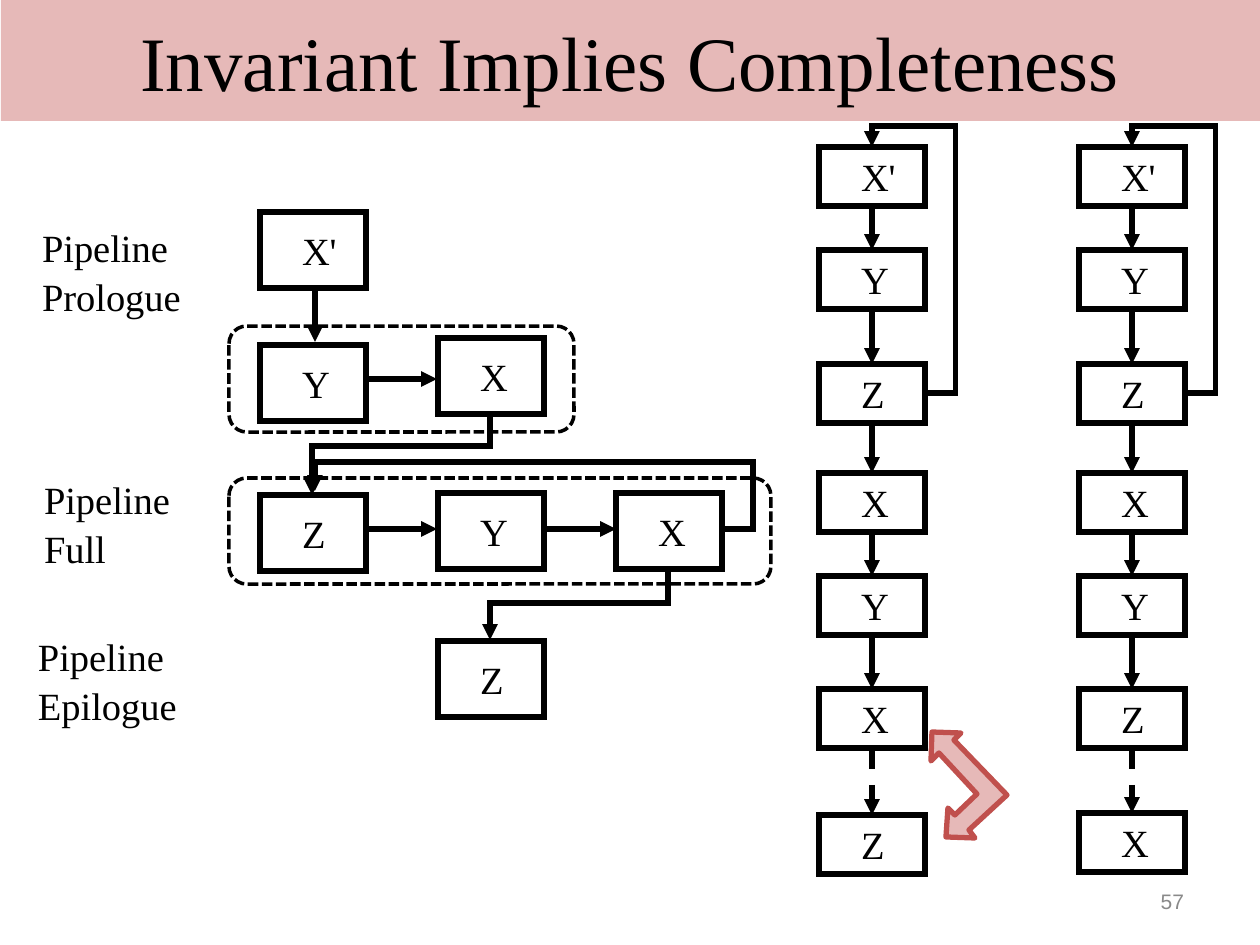
from dataclasses import dataclass
from itertools import pairwise
from typing import NamedTuple, Optional

from lxml.etree import SubElement
from pptx import Presentation
from pptx.dml.color import RGBColor
from pptx.enum.dml import MSO_LINE
from pptx.enum.shapes import MSO_CONNECTOR, MSO_SHAPE
from pptx.enum.text import MSO_ANCHOR, PP_ALIGN
from pptx.oxml.ns import qn
from pptx.util import Emu, Pt

EMU_PER_PX = 914400 / 126


@dataclass(frozen=True)
class Theme:
    serif: str = "Times New Roman"
    sans: str = "Arial"
    ink: RGBColor = RGBColor(0, 0, 0)
    pink: RGBColor = RGBColor(0xE6, 0xB9, 0xB8)
    red: RGBColor = RGBColor(0xC0, 0x50, 0x4D)
    gray: RGBColor = RGBColor(0x89, 0x89, 0x89)
    title_size: int = 44
    body_size: int = 22
    number_size: int = 12
    line_width: int = 3
    group_width: int = 2


THEME = Theme()


class Point(NamedTuple):
    x: int
    y: int


class Area(NamedTuple):
    left: int
    top: int
    width: int
    height: int


class Stage(NamedTuple):
    name: str
    area: Area


class Label(NamedTuple):
    lines: tuple[str, ...]
    area: Area


class Arrow(NamedTuple):
    start: Point
    end: Point
    dashed: bool = False
    turn_x: Optional[int] = None
    turn_y: Optional[int] = None


class Column(NamedTuple):
    left: int
    names: tuple[str, ...]
    last_top: int


STAGE_WIDTH, STAGE_HEIGHT, COLUMN_STAGE_HEIGHT = 106, 76, 59
STAGE_INDENT, MARGIN_X, MARGIN_Y = 42, 13, 6
PIPELINE_LEFT, PIPELINE_STEP = 260, 178
COLUMN_TOPS = (147, 250, 364, 473, 576, 689)
LOOP_TOP, LOOP_REACH, LOOP_ROW = 126, 31, 2

COLUMNS = (
    Column(819, ("X'", "Y", "Z", "X", "Y", "X", "Z"), 815),
    Column(1079, ("X'", "Y", "Z", "X", "Y", "Z", "X"), 813),
)
PIPELINE = (
    ("X'", 0, 212), ("Y", 0, 345), ("X", 1, 338),
    ("Z", 0, 495), ("Y", 1, 493), ("X", 2, 493), ("Z", 1, 641),
)
GROUPS = (Area(229, 326, 345, 106), Area(229, 478, 542, 106))
PIPELINE_ARROWS = (
    Arrow(Point(315, 289), Point(315, 342)),
    Arrow(Point(367, 379), Point(437, 379)),
    Arrow(Point(367, 529), Point(437, 529)),
    Arrow(Point(543, 529), Point(616, 529)),
    Arrow(Point(490, 413), Point(312, 495), turn_y=446),
    Arrow(Point(668, 567), Point(490, 640), turn_y=603),
    Arrow(Point(721, 529), Point(315, 491), turn_x=753, turn_y=462),
)
LABELS = (
    Label(("Pipeline", "Prologue"), Area(29, 216, 181, 106)),
    Label(("Pipeline", "Full"), Area(31, 468, 160, 106)),
    Label(("Pipeline", "Epilogue"), Area(25, 625, 181, 106)),
)
DOUBLE_ARROW = (
    Point(946, 837), Point(948, 808), Point(955, 815), Point(977, 794),
    Point(939, 753), Point(931, 761), Point(932, 732), Point(961, 733),
    Point(954, 740), Point(1007, 795), Point(969, 830), Point(975, 838),
)


def px(length: float) -> Emu:
    return Emu(round(length * EMU_PER_PX))


def style_line(line, color: RGBColor, width: int, dash=None, join: str = "miter", arrow: bool = False) -> None:
    line.color.rgb = color
    line.width = Pt(width)
    if dash is not None:
        line.dash_style = dash
    element = line._get_or_add_ln()
    SubElement(element, qn(f"a:{join}"))
    if arrow:
        SubElement(element, qn("a:tailEnd"), type="triangle")


def add_text(shape, lines: tuple[str, ...], color: RGBColor = THEME.ink, size: int = THEME.body_size,
             font: str = THEME.serif, align=PP_ALIGN.LEFT, anchor=MSO_ANCHOR.MIDDLE,
             indent: int = MARGIN_X, spacing: float = 1.0) -> None:
    frame = shape.text_frame
    frame.word_wrap = True
    frame.vertical_anchor = anchor
    frame.margin_left, frame.margin_right = px(indent), px(MARGIN_X)
    frame.margin_top = frame.margin_bottom = px(MARGIN_Y)
    for index, line in enumerate(lines):
        paragraph = frame.add_paragraph() if index else frame.paragraphs[0]
        paragraph.alignment = align
        paragraph.line_spacing = spacing
        run = paragraph.add_run()
        run.text = line
        run.font.name, run.font.size = font, Pt(size)
        run.font.color.rgb = color


def add_block(slide, area: Area, kind=MSO_SHAPE.RECTANGLE):
    shape = slide.shapes.add_shape(kind, *map(px, area))
    shape.shadow.inherit = False
    shape.fill.background()
    return shape


def add_stage(slide, stage: Stage) -> None:
    shape = add_block(slide, stage.area)
    style_line(shape.line, THEME.ink, THEME.line_width)
    add_text(shape, (stage.name,), indent=STAGE_INDENT)


def add_arrow(slide, arrow: Arrow) -> None:
    start, end = arrow.start, arrow.end
    across, down = end.x - start.x, end.y - start.y
    preset, bends, rotation = "line", (), 0
    begin_x, begin_y, end_x, end_y = *start, *end
    if arrow.turn_x is not None:
        preset = "bentConnector4"
        bends = ((arrow.turn_x - start.x) / across, (arrow.turn_y - start.y) / down)
    elif arrow.turn_y is not None:
        preset, rotation = "bentConnector3", 90
        bends = ((arrow.turn_y - start.y) / down,)
        middle_x, middle_y = (start.x + end.x) / 2, (start.y + end.y) / 2
        begin_x, end_x = middle_x - down / 2, middle_x + down / 2
        begin_y, end_y = middle_y + across / 2, middle_y - across / 2
    kind = MSO_CONNECTOR.ELBOW if bends else MSO_CONNECTOR.STRAIGHT
    connector = slide.shapes.add_connector(kind, *map(px, (begin_x, begin_y, end_x, end_y)))
    properties = connector._element.spPr
    if rotation:
        properties.find(qn("a:xfrm")).set("rot", str(rotation * 60000))
    geometry = properties.find(qn("a:prstGeom"))
    geometry.set("prst", preset)
    for number, bend in enumerate(bends, 1):
        SubElement(geometry.find(qn("a:avLst")), qn("a:gd"),
                   name=f"adj{number}", fmla=f"val {round(bend * 100000)}")
    style_line(connector.line, THEME.ink, THEME.line_width,
               MSO_LINE.DASH if arrow.dashed else None, arrow=True)
    SubElement(properties, qn("a:effectLst"))


def add_column(slide, column: Column) -> None:
    tops = (*COLUMN_TOPS, column.last_top)
    center, right = column.left + STAGE_WIDTH // 2, column.left + STAGE_WIDTH
    for name, top in zip(column.names, tops):
        add_stage(slide, Stage(name, Area(column.left, top, STAGE_WIDTH, COLUMN_STAGE_HEIGHT)))
    for upper, lower in pairwise(tops):
        add_arrow(slide, Arrow(Point(center, upper + COLUMN_STAGE_HEIGHT), Point(center, lower),
                               dashed=lower == column.last_top))
    loop_start = Point(right, tops[LOOP_ROW] + COLUMN_STAGE_HEIGHT // 2)
    add_arrow(slide, Arrow(loop_start, Point(center, tops[0]),
                           turn_x=right + LOOP_REACH, turn_y=LOOP_TOP))


def add_double_arrow(slide) -> None:
    builder = slide.shapes.build_freeform(*DOUBLE_ARROW[0], scale=EMU_PER_PX)
    builder.add_line_segments(DOUBLE_ARROW[1:], close=True)
    shape = builder.convert_to_shape()
    shape.shadow.inherit = False
    shape.fill.solid()
    shape.fill.fore_color.rgb = THEME.pink
    style_line(shape.line, THEME.red, THEME.line_width, join="round")


def main() -> None:
    presentation = Presentation()
    presentation.slide_width, presentation.slide_height = px(1260), px(945)
    slide = presentation.slides.add_slide(presentation.slide_layouts[6])
    for column in COLUMNS:
        add_column(slide, column)
    add_double_arrow(slide)
    for area in GROUPS:
        group = add_block(slide, area, MSO_SHAPE.ROUNDED_RECTANGLE)
        style_line(group.line, THEME.ink, THEME.group_width, MSO_LINE.SQUARE_DOT)
    for arrow in PIPELINE_ARROWS:
        add_arrow(slide, arrow)
    for label in LABELS:
        add_text(slide.shapes.add_textbox(*map(px, label.area)), label.lines,
                 anchor=MSO_ANCHOR.TOP, spacing=1.05)
    for name, place, top in PIPELINE:
        left = PIPELINE_LEFT + place * PIPELINE_STEP
        add_stage(slide, Stage(name, Area(left, top, STAGE_WIDTH, STAGE_HEIGHT)))
    title = add_block(slide, Area(1, 0, 1259, 121))
    title.fill.solid()
    title.fill.fore_color.rgb = THEME.pink
    title.line.fill.background()
    add_text(title, ("Invariant Implies Completeness",), size=THEME.title_size, align=PP_ALIGN.CENTER)
    number = slide.shapes.add_textbox(*map(px, Area(903, 876, 294, 50)))
    add_text(number, ("57",), THEME.gray, THEME.number_size, THEME.sans, PP_ALIGN.RIGHT)
    presentation.save("out.pptx")


if __name__ == "__main__":
    main()
